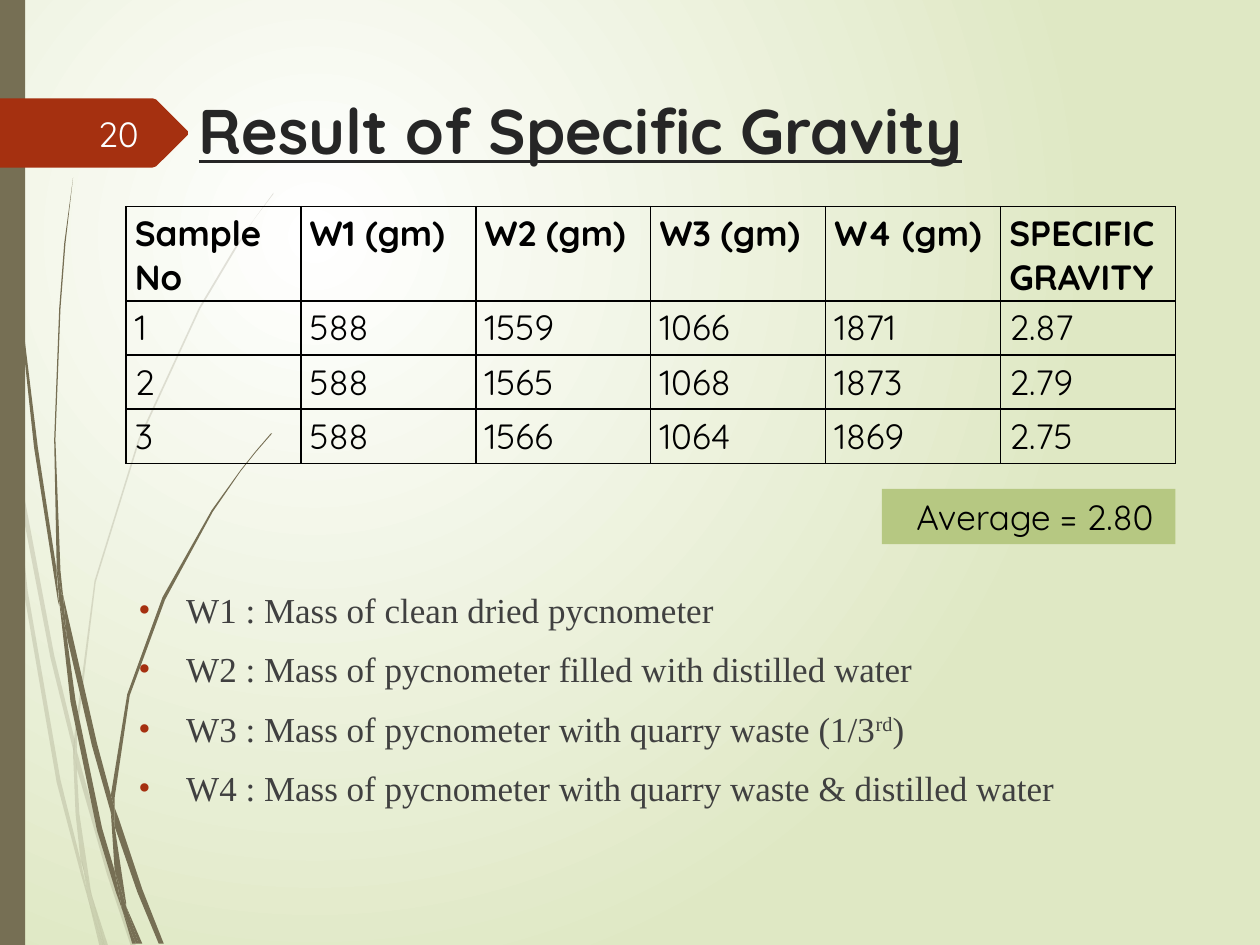
import pptx
import pptx.dml.color
import pptx.enum.shapes
import pptx.enum.text
import pptx.oxml
import pptx.oxml.ns
import pptx.util
from pptx.util import Inches

COLORS = {
    "white": "FFFFFF", "pale": "DFE8C4", "stem": "766F54", "tag": "A53010", "title": "262626",
    "body": "404040", "black": "000000", "number": "FEFFFF", "average": "B6C882",
}
NAMESPACE = pptx.oxml.ns.nsdecls("a")


def write(paragraph, text, size=20, font="Quicksand", color="black", bold=False, underline=False, baseline=None):
    run = paragraph.add_run()
    run.text = text
    run.font.size = pptx.util.Pt(size)
    run.font.name = font
    run.font.color.rgb = pptx.dml.color.RGBColor.from_string(COLORS[color])
    run.font.bold = bold
    run.font.underline = underline
    if baseline:
        run._r.get_or_add_rPr().set("baseline", str(baseline * 1000))


def paint(shape, color, opacity=100):
    shape.shadow.inherit = False
    shape.fill.solid()
    shape.fill.fore_color.rgb = pptx.dml.color.RGBColor.from_string(COLORS[color])
    shape.line.fill.background()
    if opacity < 100:
        color_element = shape._element.spPr.find(".//" + pptx.oxml.ns.qn("a:srgbClr"))
        color_element.append(pptx.oxml.parse_xml(f'<a:alpha {NAMESPACE} val="{opacity * 1000}"/>'))


presentation = pptx.Presentation()
presentation.slide_width = Inches(10)
presentation.slide_height = Inches(7.5)
slide = presentation.slides.add_slide(presentation.slide_layouts[6])

slide.background.fill.solid()
background = slide.background._cSld.bg.bgPr
background.replace(background[0], pptx.oxml.parse_xml(
    f'<a:gradFill {NAMESPACE} rotWithShape="1"><a:gsLst>'
    f'<a:gs pos="0"><a:srgbClr val="{COLORS["white"]}"/></a:gs>'
    f'<a:gs pos="100000"><a:srgbClr val="{COLORS["pale"]}"/></a:gs></a:gsLst>'
    '<a:path path="circle"><a:fillToRect l="50000" t="50000" r="100000" b="100000"/></a:path></a:gradFill>'))

faint_stems = [
    [(0.08, 3.5), (0.06, 3.22), (0, 2.82), (0, 2.99), (0.07, 3.44)],
    [(0.4, 5.22), (0.59, 5.99), (0.59, 5.86), (0.43, 5.2), (0.1, 3.45), (0.12, 3.76)],
    [(0.64, 6.07), (0.61, 5.96), (0.61, 6.1), (0.85, 6.94), (1.04, 7.51), (1.08, 7.51), (0.88, 6.92)],
    [(0.83, 7.51), (0.86, 7.51), (0.73, 7.11)],
    [(0.64, 6.83), (0.48, 6.19), (0.22, 4.69), (0.12, 3.76), (0.08, 3.5), (0.19, 4.7), (0.45, 6.21),
     (0.64, 6.93), (0.7, 7.14), (0.69, 7.07)],
    [(0.58, 5.99), (0.6, 6.46), (0.64, 6.83), (0.67, 6.92), (0.73, 7.11), (0.72, 7.06), (0.63, 6.46),
     (0.61, 6.1), (0.61, 6.08)],
    [(0.61, 5.84), (0.76, 4.62), (1.11, 3.49), (1.59, 2.45), (1.87, 1.98), (2.01, 1.75), (2.17, 1.54),
     (2.17, 1.53), (2.01, 1.75), (1.86, 1.97), (1.58, 2.44), (1.1, 3.48), (0.75, 4.61), (0.59, 5.84),
     (0.59, 5.86), (0.61, 5.96)],
    [(0.7, 7.14), (0.79, 7.51), (0.82, 7.51)],
    [(0.61, 6.08), (0.61, 6.1), (0.61, 5.96), (0.59, 5.86), (0.58, 5.99)],
    [(0.67, 6.92), (0.65, 6.83), (0.69, 7.07), (0.7, 7.14), (0.82, 7.51), (0.83, 7.51), (0.73, 7.11)],
]
dark_stems = [
    [(0.05, 1.1), (0.14, 2.33), (0.27, 3.55), (0.46, 4.77), (0.47, 4.81), (0.45, 4.57), (0.45, 4.53),
     (0.3, 3.55), (0.15, 2.32), (0.06, 1.09), (0.04, 0.48), (0.03, 0), (0.02, 0), (0.03, 0.48)],
    [(0.73, 5.92), (0.88, 6.45), (0.88, 6.33), (0.88, 6.31), (0.77, 5.9), (0.5, 4.72), (0.53, 5.05)],
    [(0.94, 6.49), (0.91, 6.41), (0.91, 6.56), (1.09, 7.08), (1.26, 7.49), (1.3, 7.49), (1.13, 7.06)],
    [(0.91, 6.91), (0.81, 6.57), (0.6, 5.56), (0.53, 5.05), (0.47, 4.77), (0.56, 5.57), (0.77, 6.59),
     (0.92, 7.08), (0.97, 7.22), (0.96, 7.17)],
    [(0.5, 4.72), (0.48, 4.53), (0.44, 3.49), (0.48, 2.45), (0.52, 1.93), (0.58, 1.41), (0.51, 1.93),
     (0.47, 2.45), (0.43, 3.49), (0.45, 4.49), (0.49, 4.72)],
    [(1.1, 7.49), (1.13, 7.49), (1, 7.19)],
    [(0.47, 4.77), (0.53, 5.05), (0.5, 4.72), (0.49, 4.72), (0.45, 4.49), (0.45, 4.53)],
    [(0.91, 6.33), (1.03, 5.52), (1.31, 4.76), (1.69, 4.06), (1.91, 3.74), (2.03, 3.59), (2.16, 3.44),
     (2.15, 3.44), (2.03, 3.58), (1.91, 3.73), (1.68, 4.05), (1.29, 4.74), (1.01, 5.51), (0.88, 6.31),
     (0.91, 6.41)],
    [(0.97, 7.22), (1.05, 7.49), (1.08, 7.49)],
    [(0.88, 6.45), (0.91, 6.91), (0.96, 7.06), (1, 7.19), (1, 7.16), (0.91, 6.56), (0.9, 6.51)],
    [(0.88, 6.45), (0.9, 6.51), (0.91, 6.56), (0.91, 6.41), (0.88, 6.31), (0.88, 6.33)],
    [(0.96, 7.06), (0.91, 6.91), (0.96, 7.17), (0.97, 7.22), (1.08, 7.49), (1.1, 7.49), (1, 7.19)],
]
number_tag = [(1.49, 1.07), (1.24, 1.32), (1.21, 1.33), (0, 1.33), (0, 0.78), (1.21, 0.78), (1.24, 0.79),
              (1.49, 1.04)]

faint_group = slide.shapes.add_group_shape()
dark_group = slide.shapes.add_group_shape()
side_bar = slide.shapes.add_shape(
    pptx.enum.shapes.MSO_SHAPE.RECTANGLE, Inches(0), Inches(0), Inches(0.2), Inches(7.5))
paint(side_bar, "stem")

for parent, outlines, color, opacity in [
    (faint_group, faint_stems, "stem", 20),
    (dark_group, dark_stems, "stem", 100),
    (slide, [number_tag], "tag", 100),
]:
    for outline in outlines:
        points = [(Inches(x), Inches(y)) for x, y in outline]
        builder = parent.shapes.build_freeform(*points[0])
        builder.add_line_segments(points[1:], close=True)
        paint(builder.convert_to_shape(), color, opacity)

title = slide.shapes.add_textbox(Inches(1.48), Inches(0.68), Inches(7.85), Inches(0.78))
title.text_frame.word_wrap = True
write(title.text_frame.paragraphs[0], "Result of Specific Gravity", size=36, color="title", bold=True, underline=True)

legend = slide.shapes.add_textbox(Inches(1), Inches(4.62), Inches(8.33), Inches(2.64))
legend.text_frame.word_wrap = True
definitions = [
    ["W1 : Mass of clean dried pycnometer"],
    ["W2 : Mass of pycnometer filled with distilled water"],
    ["W3 : Mass of pycnometer with quarry waste (1/3", "rd", ")"],
    ["W4 : Mass of pycnometer with quarry waste & distilled water"],
]
for index, parts in enumerate(definitions):
    paragraph = legend.text_frame.paragraphs[0] if index == 0 else legend.text_frame.add_paragraph()
    properties = paragraph._p.get_or_add_pPr()
    properties.set("marL", str(Inches(0.38)))
    properties.set("indent", str(Inches(-0.38)))
    for bullet in (f'<a:buClr {NAMESPACE}><a:srgbClr val="{COLORS["tag"]}"/></a:buClr>',
                   f'<a:buFont {NAMESPACE} typeface="Times New Roman"/>',
                   f'<a:buChar {NAMESPACE} char="•"/>'):
        properties.append(pptx.oxml.parse_xml(bullet))
    if index > 0:
        paragraph.space_before = pptx.util.Pt(10)
    for part in parts:
        write(paragraph, part, font="Times New Roman", color="body", baseline=30 if part == "rd" else None)

rows = [
    ["Sample No", "W1 (gm)", "W2 (gm)", "W3 (gm)", "W4 (gm)", "SPECIFIC GRAVITY"],
    ["1", "588", "1559", "1066", "1871", "2.87"],
    ["2", "588", "1565", "1068", "1873", "2.79"],
    ["3", "588", "1566", "1064", "1869", "2.75"],
]
table = slide.shapes.add_table(4, 6, Inches(1), Inches(1.64), Inches(8.33), Inches(2.02)).table
table.first_row = False
table.horz_banding = False
for row_index, values in enumerate(rows):
    table.rows[row_index].height = Inches(0.43 if row_index else 0.74)
    for column_index, value in enumerate(values):
        cell = table.cell(row_index, column_index)
        cell.margin_left = cell.margin_right = Inches(0.07)
        cell.margin_top = cell.margin_bottom = Inches(0.04)
        cell.fill.background()
        for position, side in enumerate(["lnL", "lnR", "lnT", "lnB"]):
            cell._tc.get_or_add_tcPr().insert(position, pptx.oxml.parse_xml(
                f'<a:{side} {NAMESPACE} w="12700"><a:solidFill><a:srgbClr val="{COLORS["black"]}"/>'
                f'</a:solidFill></a:{side}>'))
        write(cell.text_frame.paragraphs[0], value, bold=row_index == 0)

number = slide.shapes.add_textbox(Inches(0.56), Inches(0.86), Inches(0.64), Inches(0.4))
number.text_frame.word_wrap = True
number.text_frame.vertical_anchor = pptx.enum.text.MSO_ANCHOR.MIDDLE
write(number.text_frame.paragraphs[0], "20", color="number")

average = slide.shapes.add_shape(
    pptx.enum.shapes.MSO_SHAPE.RECTANGLE, Inches(7), Inches(3.88), Inches(2.33), Inches(0.44))
paint(average, "average")
average.text_frame.word_wrap = True
average.text_frame.vertical_anchor = pptx.enum.text.MSO_ANCHOR.TOP
write(average.text_frame.paragraphs[0], "Average = 2.80 ")
for shape in (number, average):
    shape.text_frame.paragraphs[0].alignment = pptx.enum.text.PP_ALIGN.RIGHT

presentation.save("out.pptx")
